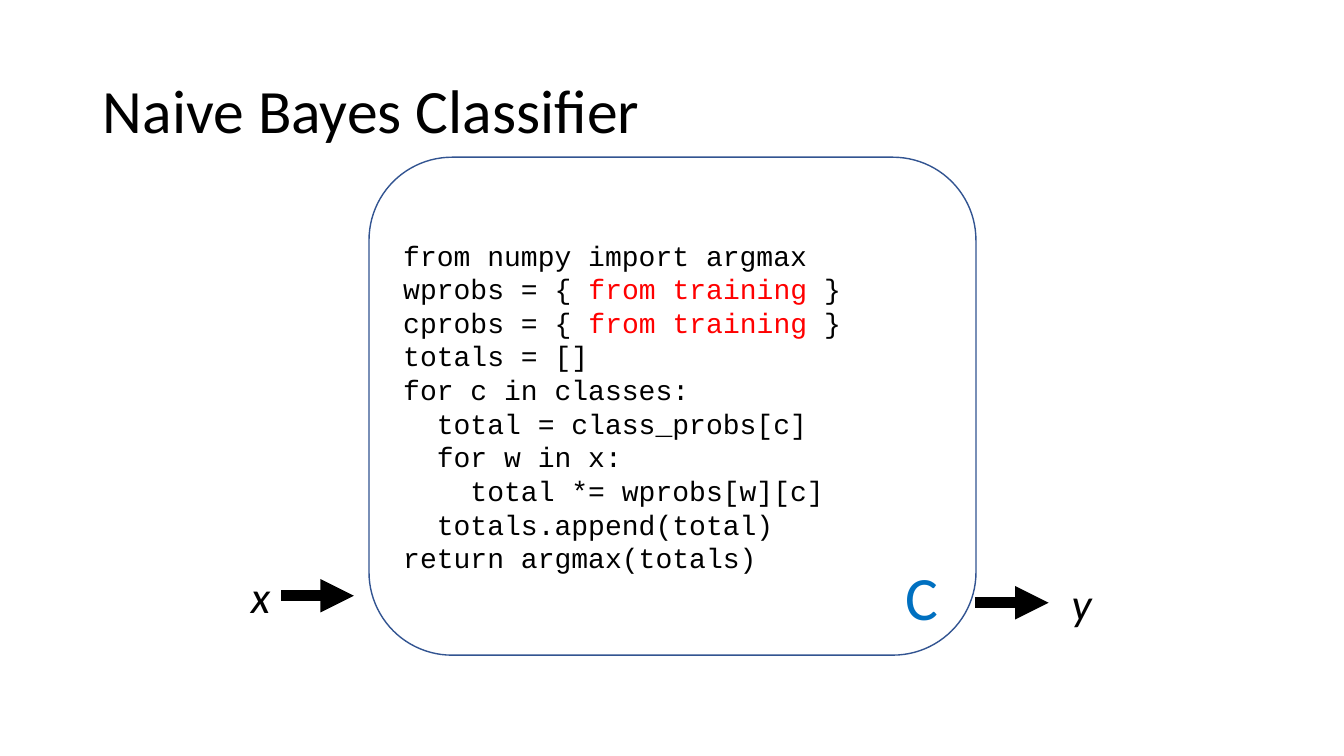
from dataclasses import dataclass

from lxml.etree import SubElement
from pptx import Presentation
from pptx.dml.color import RGBColor
from pptx.enum.shapes import MSO_CONNECTOR, MSO_SHAPE
from pptx.enum.text import MSO_ANCHOR, MSO_AUTO_SIZE, PP_ALIGN
from pptx.oxml.ns import qn
from pptx.shapes.autoshape import Shape
from pptx.slide import Slide
from pptx.util import Inches, Pt

BLACK = RGBColor(0x00, 0x00, 0x00)
WHITE = RGBColor(0xFF, 0xFF, 0xFF)
RED = RGBColor(0xFF, 0x00, 0x00)
BLUE = RGBColor(0x00, 0x70, 0xC0)
NAVY = RGBColor(0x32, 0x54, 0x91)

TRAINED = "from training "
CODE = """from numpy import argmax
wprobs = { from training }
cprobs = { from training }
totals = []
for c in classes:
  total = class_probs[c]
  for w in x:
    total *= wprobs[w][c]
  totals.append(total)
return argmax(totals)"""


@dataclass
class Variable:
    name: str
    left: float
    top: float


@dataclass
class Arrow:
    start: float
    end: float
    y: float


VARIABLES = [Variable("x", 2.39, 5.59), Variable("y", 10.53, 5.66)]
ARROWS = [Arrow(2.79, 3.51, 5.91), Arrow(9.67, 10.4, 5.98)]


def style_font(font, name: str, size: int, color: RGBColor) -> None:
    font.name = name
    font.size = Pt(size)
    font.color.rgb = color


def add_title(slide: Slide, text: str) -> None:
    title = slide.shapes.title
    title.left, title.top = Inches(0.92), Inches(0.4)
    title.width, title.height = Inches(11.5), Inches(1.45)
    frame = title.text_frame
    frame.text = text
    frame.auto_size = MSO_AUTO_SIZE.NONE
    frame.vertical_anchor = MSO_ANCHOR.MIDDLE
    paragraph = frame.paragraphs[0]
    paragraph.alignment = PP_ALIGN.LEFT
    paragraph.line_spacing = 0.9
    style_font(paragraph.font, "Calibri", 44, BLACK)


def add_rounded_box(slide: Slide, left: float, top: float,
                    width: float, height: float) -> Shape:
    box = slide.shapes.add_shape(MSO_SHAPE.ROUNDED_RECTANGLE, Inches(left),
                                 Inches(top), Inches(width), Inches(height))
    box.shadow.inherit = False
    box.text_frame.word_wrap = True
    box.text_frame.vertical_anchor = MSO_ANCHOR.MIDDLE
    return box


def add_classifier(slide: Slide) -> None:
    box = add_rounded_box(slide, 3.66, 1.56, 6.02, 4.94)
    box.fill.background()
    box.line.color.rgb = NAVY
    box.line.width = Pt(1)
    frame = box.text_frame
    for index, line in enumerate(CODE.splitlines()):
        paragraph = frame.add_paragraph() if index else frame.paragraphs[0]
        paragraph.alignment = PP_ALIGN.LEFT
        style_font(paragraph.font, "Courier New", 20, BLACK)
        before, trained, after = line.partition(TRAINED)
        paragraph.add_run().text = before
        if trained:
            run = paragraph.add_run()
            run.text = trained
            run.font.color.rgb = RED
            paragraph.add_run().text = after


def add_class_badge(slide: Slide) -> None:
    badge = add_rounded_box(slide, 8.86, 5.56, 0.54, 0.71)
    badge.fill.solid()
    badge.fill.fore_color.rgb = WHITE
    badge.line.fill.background()
    badge.text_frame.text = "C"
    paragraph = badge.text_frame.paragraphs[0]
    paragraph.alignment = PP_ALIGN.CENTER
    style_font(paragraph.font, "Calibri", 44, BLUE)


def add_variable(slide: Slide, variable: Variable) -> None:
    box = slide.shapes.add_textbox(Inches(variable.left), Inches(variable.top),
                                   Inches(0.4), Inches(0.64))
    frame = box.text_frame
    frame.word_wrap = False
    frame.auto_size = MSO_AUTO_SIZE.SHAPE_TO_FIT_TEXT
    frame.text = variable.name
    font = frame.paragraphs[0].font
    style_font(font, "Calibri", 32, BLACK)
    font.italic = True


def add_arrow(slide: Slide, arrow: Arrow) -> None:
    connector = slide.shapes.add_connector(
        MSO_CONNECTOR.STRAIGHT, Inches(arrow.start), Inches(arrow.y),
        Inches(arrow.end), Inches(arrow.y))
    connector.line.color.rgb = BLACK
    connector.line.width = Pt(8)
    properties = connector._element.spPr
    SubElement(properties.find(qn("a:ln")), qn("a:tailEnd"), type="triangle")
    SubElement(properties, qn("a:effectLst"))


def main() -> None:
    presentation = Presentation()
    presentation.slide_width = Inches(13.33)
    presentation.slide_height = Inches(7.5)
    slide = presentation.slides.add_slide(presentation.slide_layouts[5])
    add_title(slide, "Naive Bayes Classifier")
    add_classifier(slide)
    add_class_badge(slide)
    for variable in VARIABLES:
        add_variable(slide, variable)
    for arrow in ARROWS:
        add_arrow(slide, arrow)
    presentation.save("out.pptx")


if __name__ == "__main__":
    main()
